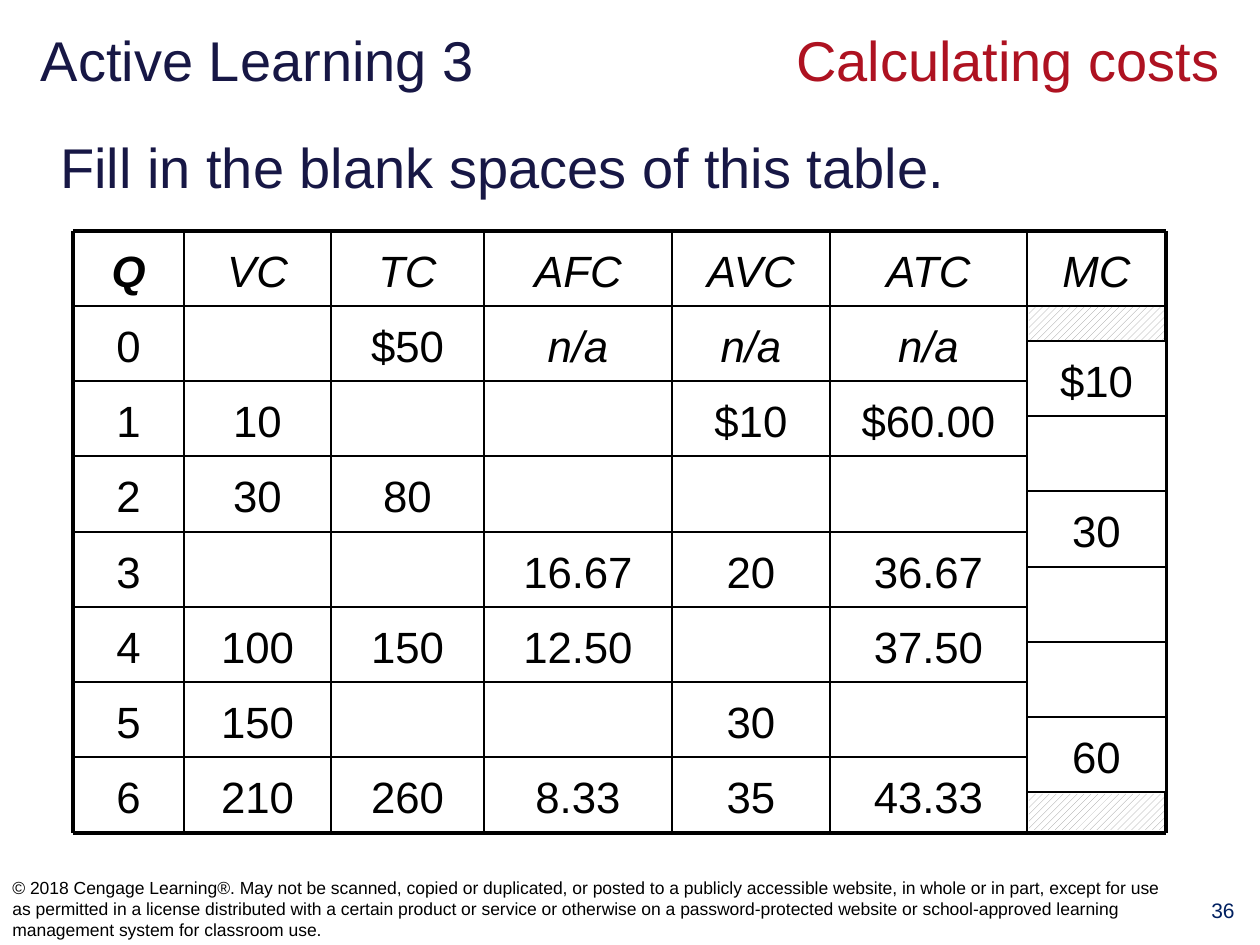
from lxml import etree
from pptx import Presentation
from pptx import util as u
from pptx.dml import color
from pptx.enum import dml, shapes, text
from pptx.oxml import ns

rgb = color.RGBColor.from_string


def px(n):
    return u.Emu(round(n * 914400 / 126))


def write(tf, content, size=25, hex="000000", bold=False, italic=False,
          align="CENTER", anchor="MIDDLE", spacing=None):
    tf.word_wrap = True
    tf.vertical_anchor = text.MSO_ANCHOR[anchor]
    p = tf.paragraphs[0]
    p.alignment = text.PP_ALIGN[align]
    if spacing:
        p.line_spacing = spacing
    r = p.add_run()
    r.text = content
    r.font.name = "Arial"
    r.font.size = u.Pt(size)
    r.font.bold = bold
    r.font.italic = italic
    r.font.color.rgb = rgb(hex)
    return p


prs = Presentation()
prs.slide_width, prs.slide_height = px(1260), px(945)
s = prs.slides.add_slide(prs.slide_layouts[5])

title = s.shapes.title
title.left, title.top, title.width, title.height = px(21), px(14), px(1218), px(91)
tf = title.text_frame
tf.auto_size = text.MSO_AUTO_SIZE.NONE
tf.margin_left, tf.margin_right = px(20), px(13)
p = write(tf, "Active Learning 3\t", size=32, hex="171745", align="LEFT")
tabs = etree.SubElement(p._p.get_or_add_pPr(), ns.qn("a:tabLst"))
etree.SubElement(tabs, ns.qn("a:tab"), pos=str(px(1179)), algn="r")
write(tf, "Calculating costs", size=32, hex="AE1221", align="LEFT")

footer = (
    "© 2018 Cengage Learning®. May not be scanned, copied or duplicated, or posted to a "
    "publicly accessible website, in whole or in part, except for use as permitted in a "
    "license distributed with a certain product or service or otherwise on a "
    "password-protected website or school-approved learning management system for "
    "classroom use."
)
boxes = [
    ((48, 126, 1174, 94), "Fill in the blank spaces of this table.",
     dict(size=32, hex="171745", align="LEFT", anchor="TOP")),
    ((1187, 891, 72, 52), "36", dict(size=12, hex="002060", anchor="TOP")),
    ((0, 872, 1186, 73), footer, dict(size=10, align="LEFT")),
]
for box, content, style in boxes:
    sp = s.shapes.add_textbox(*map(px, box))
    write(sp.text_frame, content, **style)

rows = [
    ["Q", "VC", "TC", "AFC", "AVC", "ATC", "MC"],
    ["0", "", "$50", "n/a", "n/a", "n/a", ""],
    ["1", "10", "", "", "$10", "$60.00", ""],
    ["2", "30", "80", "", "", "", ""],
    ["3", "", "", "16.67", "20", "36.67", ""],
    ["4", "100", "150", "12.50", "", "37.50", ""],
    ["5", "150", "", "", "30", "", ""],
    ["6", "210", "260", "8.33", "35", "43.33", ""],
]
xs = [73, 184, 331, 484, 672, 830, 1027, 1166]
ys = [231 + 602 * i // len(rows) for i in range(len(rows) + 1)]

frame = s.shapes.add_table(len(rows), len(rows[0]), px(xs[0]), px(ys[0]),
                           px(xs[-1] - xs[0]), px(ys[-1] - ys[0]))
table = frame.table
table.first_row = table.horz_banding = False
for j, column in enumerate(table.columns):
    column.width = px(xs[j + 1] - xs[j])
for i, row in enumerate(rows):
    table.rows[i].height = px(ys[i + 1] - ys[i])
    for j, value in enumerate(row):
        cell = table.cell(i, j)
        cell.vertical_anchor = text.MSO_ANCHOR.MIDDLE
        cell.margin_top, cell.margin_bottom = px(11), px(6)
        cell.fill.background()
        if value:
            write(cell.text_frame, value, bold=value == "Q",
                  italic=i == 0 or value == "n/a", spacing=1.05)

rules = [(xs[0], y, xs[-1], y, y in (ys[0], ys[-1])) for y in ys]
rules += [(x, ys[0], x, ys[-1], x in (xs[0], xs[-1])) for x in xs]
for *ends, outer in rules:
    line = s.shapes.add_connector(shapes.MSO_CONNECTOR.STRAIGHT, *map(px, ends))
    line.line.color.rgb = rgb("000000")
    line.line.width = u.Pt(2.25 if outer else 1)
    etree.SubElement(line._element.spPr, ns.qn("a:effectLst"))

mc_left, mc_width = xs[-2], xs[-1] - xs[-2]
for i, value in enumerate(["$10", "", "30", "", "", "60"], start=1):
    sp = s.shapes.add_shape(shapes.MSO_SHAPE.RECTANGLE, px(mc_left), px(ys[i] + 35),
                            px(mc_width), px(ys[i + 1] - ys[i]))
    sp.shadow.inherit = False
    sp.fill.solid()
    sp.fill.fore_color.rgb = rgb("FFFFFF")
    sp.line.color.rgb = rgb("000000")
    sp.line.width = u.Pt(1)
    if value:
        write(sp.text_frame, value, spacing=1.05)

for top, height in [(307, 33), (794, 36)]:
    sp = s.shapes.add_shape(shapes.MSO_SHAPE.RECTANGLE, px(mc_left + 2), px(top),
                            px(mc_width - 4), px(height))
    sp.shadow.inherit = False
    sp.line.fill.background()
    sp.fill.patterned()
    sp.fill.pattern = dml.MSO_PATTERN.WIDE_UPWARD_DIAGONAL
    sp.fill.fore_color.rgb = rgb("969696")
    sp.fill.back_color.rgb = rgb("FFFFFF")

prs.save("out.pptx")
